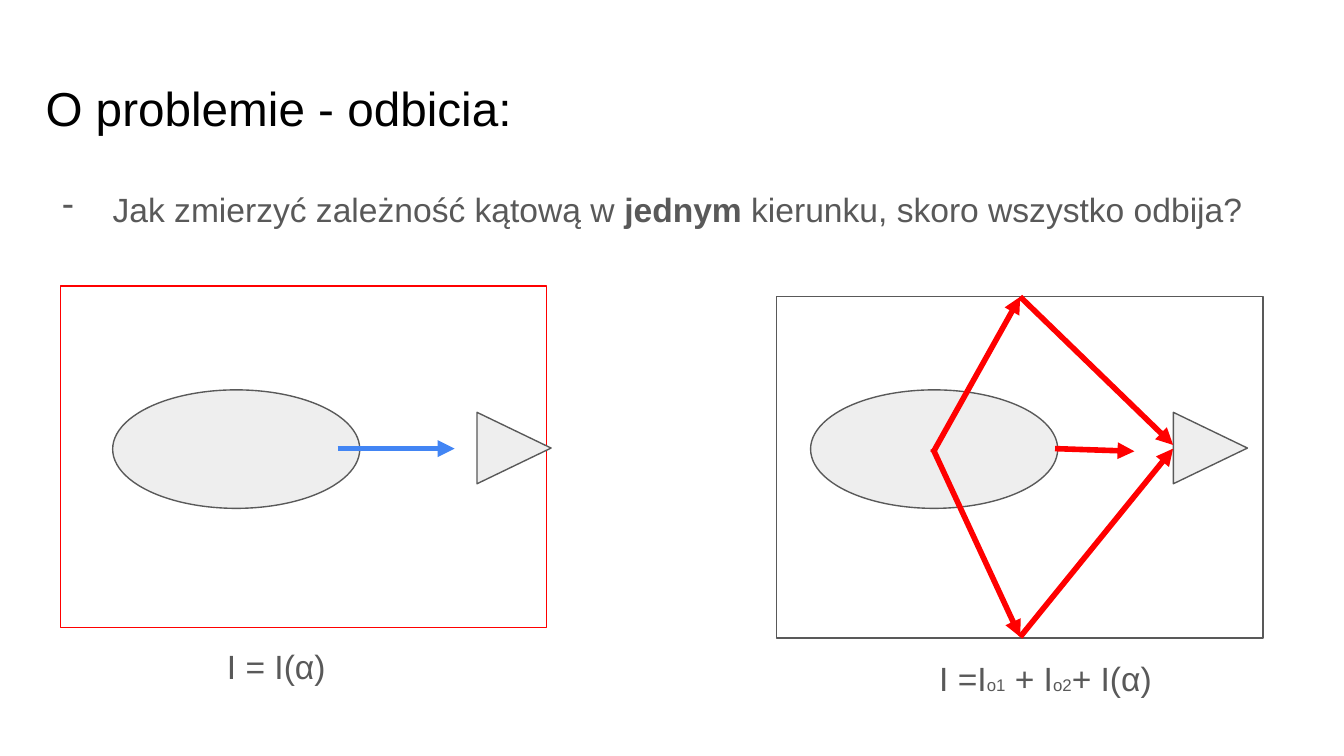
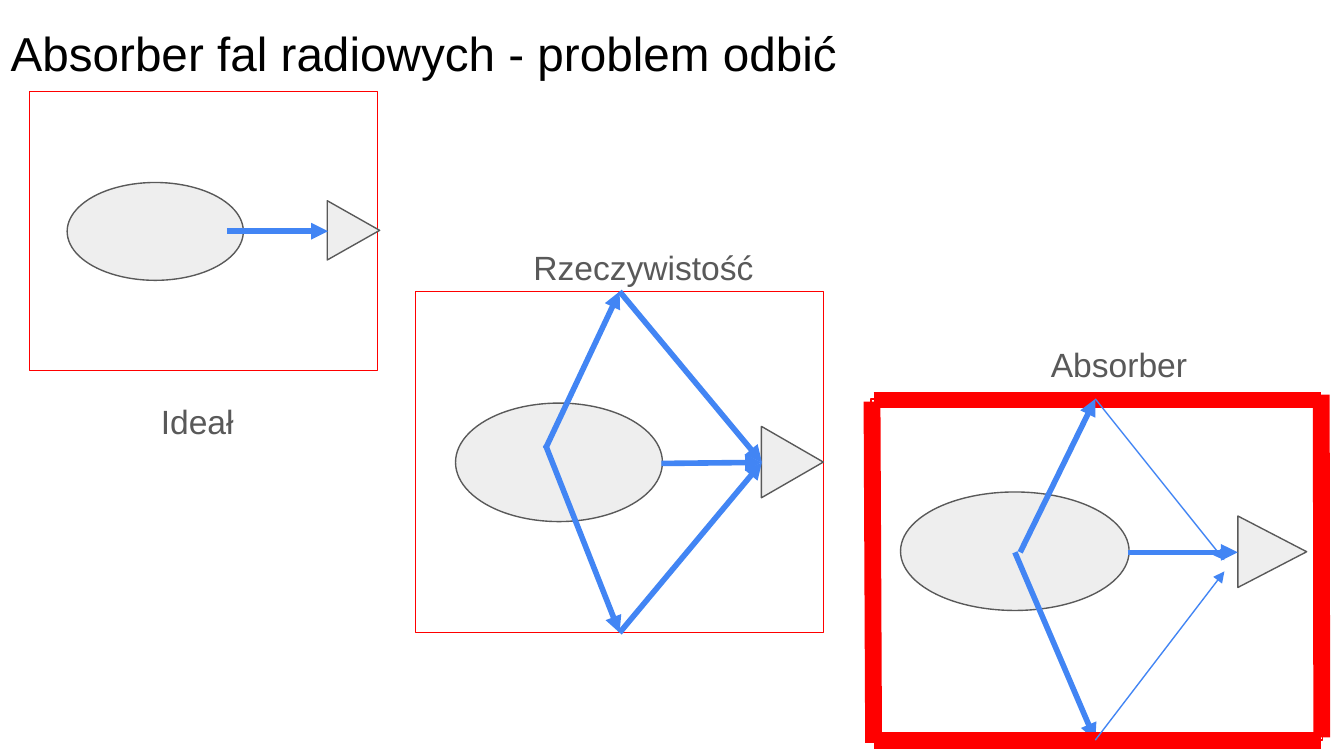
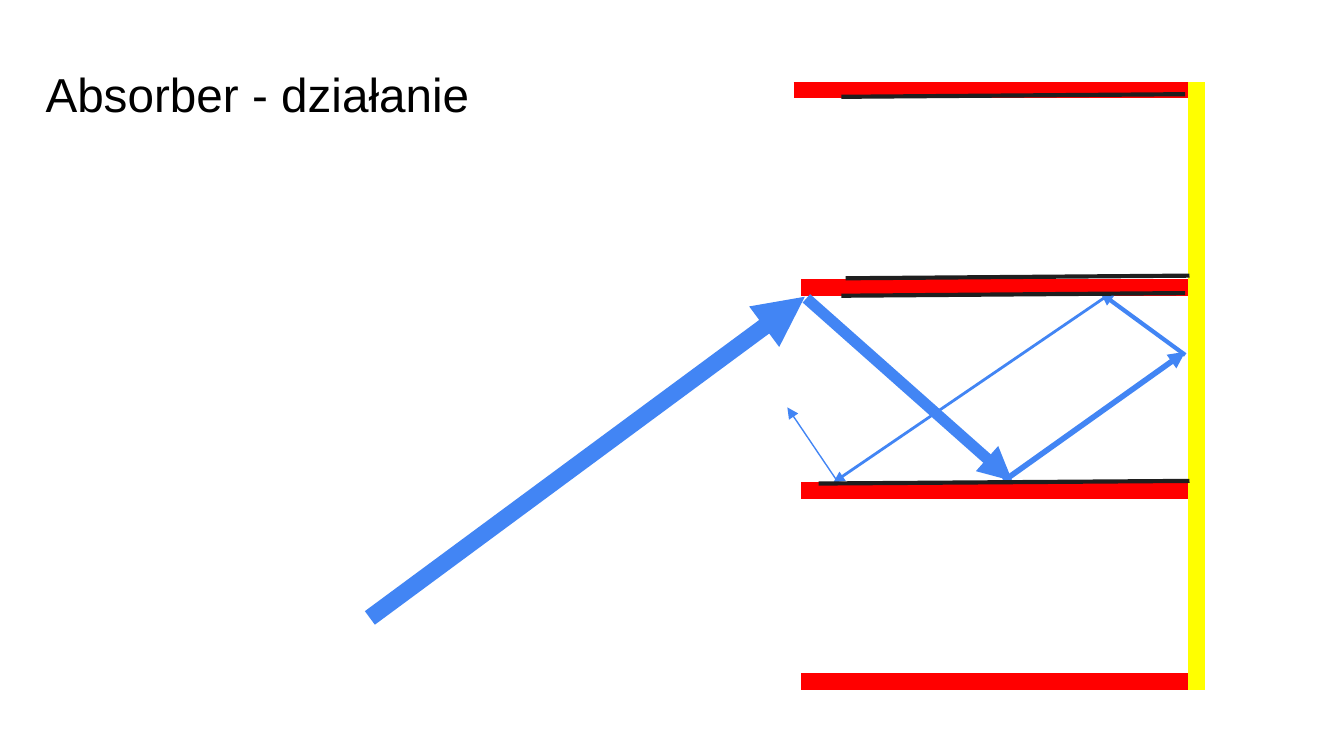
from lxml import etree
from pptx import Presentation
from pptx import util as u
from pptx.dml.color import RGBColor
from pptx.enum import shapes, text
from pptx.oxml.ns import qn

COLOURS = {
    "title": "000000", "grey": "595959", "body_fill": "EEEEEE", "paper": "FFFFFF",
    "red": "FF0000", "blue": "4285F4", "yellow": "FFFF00", "lining": "1E1E1E",
}
FONT = "Arial"
TITLE_SIZE, TEXT_SIZE, INDEX_SIZE = 25.5, 18, 9
THIN, RAY, WALL = 0.75, 3, 9
MARGIN = 0.25
TITLE_ONLY = 5


def colour(name):
    return RGBColor.from_string(COLOURS[name])


def format_run(run, size, name, bold=False):
    run.font.name, run.font.size, run.font.bold = FONT, u.Pt(size), bold
    run.font.color.rgb = colour(name)


def prepare_frame(frame, side_margin):
    frame.word_wrap = True
    frame.auto_size = text.MSO_AUTO_SIZE.NONE
    frame.vertical_anchor = text.MSO_ANCHOR.TOP
    frame.margin_left = frame.margin_right = u.Cm(side_margin)
    frame.margin_top = frame.margin_bottom = u.Cm(MARGIN)


def new_slide(presentation, title, left, top):
    slide = presentation.slides.add_slide(presentation.slide_layouts[TITLE_ONLY])
    shape = slide.shapes.title
    shape.left, shape.top = u.Cm(left), u.Cm(top)
    shape.width, shape.height = u.Cm(23.67), u.Cm(1.6)
    prepare_frame(shape.text_frame, 0)
    shape.text_frame.text = title
    paragraph = shape.text_frame.paragraphs[0]
    paragraph.alignment = text.PP_ALIGN.LEFT
    format_run(paragraph.runs[0], TITLE_SIZE, "title")
    return slide


def add_text(slide, box, pieces, side_margin=MARGIN):
    """Write pieces of (text, size, bold) as the runs of one paragraph."""
    frame = slide.shapes.add_textbox(*map(u.Cm, box)).text_frame
    prepare_frame(frame, side_margin)
    paragraph = frame.paragraphs[0]
    for words, size, bold in pieces:
        run = paragraph.add_run()
        run.text = words
        format_run(run, size, "grey", bold)
    return paragraph


def add_label(slide, box, words):
    add_text(slide, box, [(words, TEXT_SIZE, False)])


def add_dash(paragraph):
    properties = paragraph._p.get_or_add_pPr()
    properties.set("marL", str(u.Cm(1.27)))
    properties.set("indent", str(u.Cm(-0.95)))
    bullet_colour = etree.SubElement(properties, qn("a:buClr"))
    etree.SubElement(bullet_colour, qn("a:srgbClr"), val=COLOURS["grey"])
    etree.SubElement(properties, qn("a:buChar"), char="-")
    paragraph.line_spacing = 1.15


def add_shape(slide, kind, box, fill, line):
    shape = slide.shapes.add_shape(kind, *map(u.Cm, box))
    shape.shadow.inherit = False
    shape.fill.solid()
    shape.fill.fore_color.rgb = colour(fill)
    shape.line.color.rgb = colour(line)
    shape.line.width = u.Pt(THIN)
    return shape


def add_line(slide, origin, points, name, width, arrow=False):
    """Draw from (x1, y1) to (x2, y2), measured from the origin."""
    x, y = origin
    x1, y1, x2, y2 = points
    connector = slide.shapes.add_connector(
        shapes.MSO_CONNECTOR.STRAIGHT,
        u.Cm(x + x1), u.Cm(y + y1), u.Cm(x + x2), u.Cm(y + y2))
    connector.line.color.rgb = colour(name)
    connector.line.width = u.Pt(width)
    if arrow:
        etree.SubElement(connector.line._get_or_add_ln(), qn("a:tailEnd"), type="triangle")
    etree.SubElement(connector._element.spPr, qn("a:effectLst"))


def add_rays(slide, origin, rays, name, width=RAY):
    for points in rays:
        add_line(slide, origin, points, name, width, arrow=True)


def add_chamber(slide, box, source, detector, line="red"):
    """Draw a room with a source and a detector placed relative to it; return its corner."""
    x, y = box[:2]
    add_shape(slide, shapes.MSO_SHAPE.RECTANGLE, box, "paper", line)
    parts = ((shapes.MSO_SHAPE.OVAL, source, 0),
             (shapes.MSO_SHAPE.ISOSCELES_TRIANGLE, detector, 90))
    for kind, (left, top, width, height), rotation in parts:
        part = add_shape(slide, kind, (x + left, y + top, width, height), "body_fill", "grey")
        part.rotation = rotation
    return x, y


def add_absorbing_walls(slide, origin):
    for points in ((0.05, 0.02, 8.51, 0.02), (0.05, 6.45, 8.51, 6.45),
                   (0.02, 0.05, 0.05, 6.5), (8.51, -0.08, 8.52, 6.4)):
        add_line(slide, origin, points, "red", WALL)


def add_absorber_section(slide, origin):
    for left, top in ((0, 0.15), (0.14, 3.89), (0.14, 7.72), (0.14, 11.33)):
        add_line(slide, origin, (left, top, left + 7.48, top), "red", WALL)
    for row in range(3):
        top = 3.82 * row
        add_line(slide, origin, (7.61, top, 7.61, top + 3.85), "yellow", WALL)
    fading_ray = (
        ((-8.01, 10.13, 0.21, 4.06), 9), ((0.24, 4.09, 4.13, 7.54), 6),
        ((3.97, 7.54, 7.4, 5.1), 3), ((7.4, 5.16, 5.8, 3.99), 2.25),
        ((5.9, 4.06, 0.75, 7.57), 1.5), ((0.82, 7.54, -0.12, 6.15), 0.75))
    for points, width in fading_ray:
        add_rays(slide, origin, [points], "blue", width)
    for left, top, length in ((0.9, 4.04, 6.5), (0.47, 7.59, 7.01),
                              (0.9, 0.28, 6.5), (0.98, 3.71, 6.5)):
        add_line(slide, origin, (left, top, left + length, top - 0.05), "lining", 2.25)


def build_reflections(presentation):
    slide = new_slide(presentation, "O problemie - odbicia:", 0.86, 1.24)
    question = add_text(slide, (0.86, 3.2, 23.67, 2.03), [
        ("Jak zmierzyć zależność kątową w ", TEXT_SIZE, False),
        ("jednym", TEXT_SIZE, True),
        (" kierunku, skoro wszystko odbija?", TEXT_SIZE, False)], side_margin=0)
    add_dash(question)

    direct = add_chamber(slide, (1.14, 5.41, 9.19, 6.45),
                         (0.99, 1.96, 4.67, 2.24), (7.9, 2.36, 1.35, 1.4))
    add_rays(slide, direct, [(5.24, 3.07, 7.45, 3.07)], "blue")
    add_label(slide, (4.04, 11.96, 2.9, 1.35), "I = I(α)")

    reflected = add_chamber(slide, (14.68, 5.61, 9.19, 6.45),
                            (0.64, 1.76, 4.67, 2.24), (7.52, 2.16, 1.35, 1.4), "grey")
    add_rays(slide, reflected, [
        (2.95, 2.87, 4.6, 6.43), (4.6, 6.43, 7.49, 2.87), (5.26, 2.87, 6.76, 2.92),
        (2.95, 2.95, 4.6, 0), (4.6, 0, 7.49, 2.8)], "red")
    add_text(slide, (17.5, 12.19, 5.44, 1.35), [
        ("I =I", TEXT_SIZE, False), ("o1", INDEX_SIZE, False),
        (" + I", TEXT_SIZE, False), ("o2", INDEX_SIZE, False),
        ("+ I(α)", TEXT_SIZE, False)])


def build_comparison(presentation):
    slide = new_slide(presentation, "Absorber fal radiowych - problem odbić", 0.2, 0.2)

    ideal = add_chamber(slide, (0.56, 1.73, 6.58, 5.28),
                        (0.71, 1.72, 3.33, 1.85), (5.56, 2.13, 1.12, 0.99))
    add_rays(slide, ideal, [(3.73, 2.64, 5.64, 2.64)], "blue")
    add_label(slide, (2.79, 7.32, 2.11, 1.12), "Ideał")

    reality = add_chamber(slide, (7.85, 5.51, 7.72, 6.45),
                          (0.76, 2.11, 3.91, 2.24), (6.45, 2.64, 1.35, 1.17))
    add_rays(slide, reality, [
        (2.46, 2.9, 3.86, 6.45), (3.86, 6.45, 6.55, 3.23), (4.65, 3.25, 6.55, 3.23),
        (2.46, 2.97, 3.86, 0), (3.86, 0, 6.55, 3.23)], "blue")
    add_label(slide, (9.83, 4.42, 5.56, 1.12), "Rzeczywistość")

    absorber = add_chamber(slide, (16.46, 7.54, 8.53, 6.45),
                           (0.56, 1.76, 4.32, 2.24), (6.91, 2.24, 1.35, 1.3))
    add_rays(slide, absorber, [(2.72, 2.9, 4.24, 6.45), (4.85, 2.9, 6.93, 2.9)], "blue")
    add_absorbing_walls(slide, absorber)
    add_rays(slide, absorber, [(4.24, 6.45, 6.68, 3.26), (4.24, 0, 6.68, 3.05)], "blue", THIN)
    add_rays(slide, absorber, [(2.82, 2.9, 4.24, 0)], "blue")
    add_label(slide, (19.61, 6.25, 3.23, 1.12), "Absorber")


def build_absorber(presentation):
    slide = new_slide(presentation, "Absorber - działanie", 0.86, 0.97)
    add_absorber_section(slide, (15, 1.55))


def main():
    presentation = Presentation()
    presentation.slide_width, presentation.slide_height = u.Cm(25.4), u.Cm(14.29)
    build_reflections(presentation)
    build_comparison(presentation)
    build_absorber(presentation)
    presentation.save("out.pptx")


if __name__ == "__main__":
    main()
